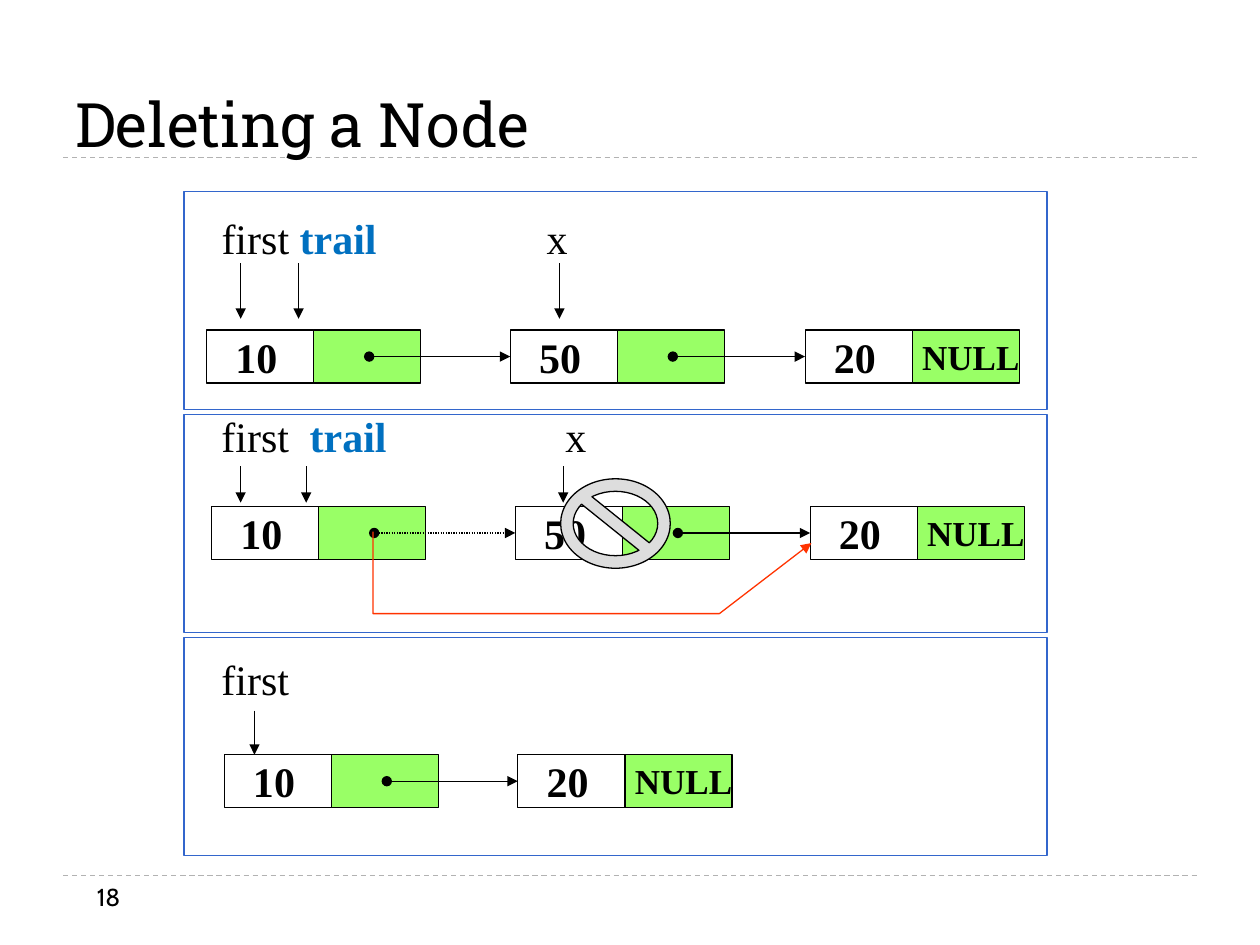
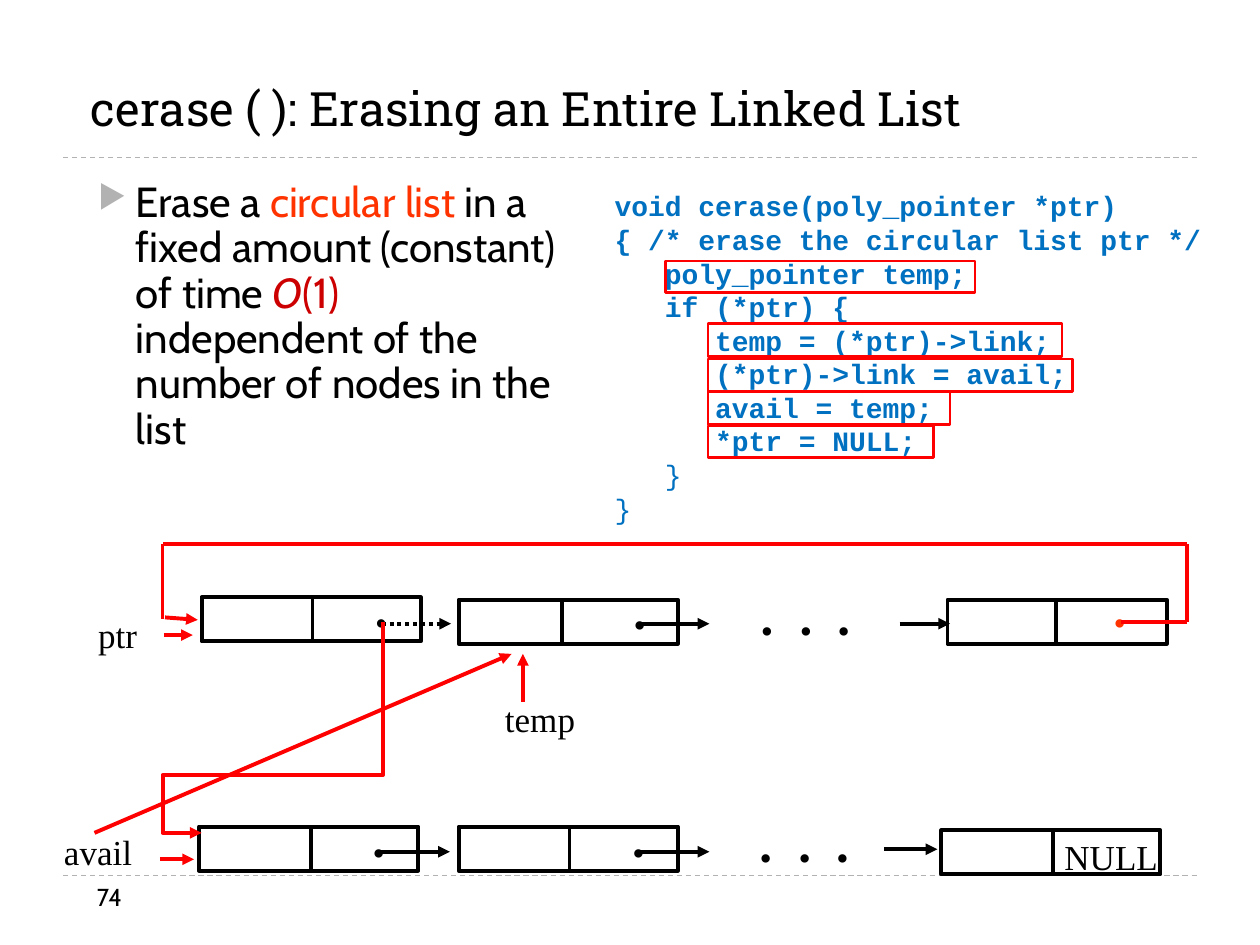
from lxml.etree import SubElement
from pptx import Presentation
from pptx.dml.color import RGBColor
from pptx.enum.dml import MSO_LINE as DASH
from pptx.enum.shapes import MSO_CONNECTOR, MSO_SHAPE as SHAPE
from pptx.enum.text import MSO_ANCHOR as ANCHOR, MSO_AUTO_SIZE as AUTO, PP_ALIGN as ALIGN
from pptx.oxml.ns import qn
from pptx.util import Pt

PX = 9144  # EMU in one px, 100 px to the inch

BLACK = RGBColor(0x00, 0x00, 0x00)
RULE_GREY = RGBColor(0xB2, 0xB2, 0xB2)
PANEL_BLUE = RGBColor(0x33, 0x66, 0xCC)
TEXT_BLUE = RGBColor(0x00, 0x70, 0xC0)
LINK_GREEN = RGBColor(0x99, 0xFF, 0x66)
SIGN_GREY = RGBColor(0xDD, 0xDD, 0xDD)
ORANGE = RGBColor(0xFF, 0x33, 0x00)
RED = RGBColor(0xFF, 0x00, 0x00)
DARK_RED = RGBColor(0xCC, 0x00, 0x00)

HEADING, BODY, CODE, SERIF = "Roboto Slab", "Cabin", "Courier New", "Times New Roman"


def draw(slide, geometry, kind=None, colour=BLACK, weight=0.75, fill=None,
         dash=None, head=None, tail=None):
    """Draw a preset shape in (left, top, width, height), or a line through points."""
    if kind is not None:
        shape = slide.shapes.add_shape(kind, *(v * PX for v in geometry))
    elif len(geometry) == 2:
        ends = [v * PX for point in geometry for v in point]
        shape = slide.shapes.add_connector(MSO_CONNECTOR.STRAIGHT, *ends)
    else:
        outline = slide.shapes.build_freeform(*geometry[0], scale=PX)
        outline.add_line_segments(geometry[1:], close=False)
        shape = outline.convert_to_shape()
    if fill is not None:
        shape.fill.solid()
        shape.fill.fore_color.rgb = fill
    elif kind is not None or len(geometry) > 2:
        shape.fill.background()
    shape.line.color.rgb = colour
    shape.line.width = Pt(weight)
    if dash is not None:
        shape.line.dash_style = dash
    properties = shape.element.spPr
    for tag, end in (("a:headEnd", head), ("a:tailEnd", tail)):
        if end:
            SubElement(properties.find(qn("a:ln")), qn(tag), type=end)
    SubElement(properties, qn("a:effectLst"))
    return shape


def write(slide, box, content, size, font=SERIF, colour=BLACK, bold=False,
          wrap=False, align=ALIGN.LEFT, anchor=ANCHOR.TOP, stops=()):
    """Write a string, or paragraphs made of (text, colour, bold) runs."""
    frame = slide.shapes.add_textbox(*(v * PX for v in box)).text_frame
    frame.word_wrap = wrap
    frame.auto_size = AUTO.NONE if wrap else AUTO.SHAPE_TO_FIT_TEXT
    frame.vertical_anchor = anchor
    if isinstance(content, str):
        content = [[(line, colour, bold)] for line in content.split("\n")]
    for index, runs in enumerate(content):
        paragraph = frame.add_paragraph() if index else frame.paragraphs[0]
        paragraph.alignment = align
        if stops:
            tabs = SubElement(paragraph._p.get_or_add_pPr(), qn("a:tabLst"))
            for stop in stops:
                SubElement(tabs, qn("a:tab"), pos=str(stop * PX), algn="l")
        for text, run_colour, run_bold in runs:
            run = paragraph.add_run()
            run.text = text
            run.font.name, run.font.size = font, Pt(size)
            run.font.bold = run_bold
            run.font.color.rgb = run_colour
    return frame


deck = Presentation()
deck.slide_width, deck.slide_height = 1000 * PX, 750 * PX

# Title, rules and page number of both slides
pages = [
    ("Deleting a Node", (50, 45, 900, 87), 35, "18"),
    ("cerase ( ): Erasing an Entire Linked List", (62, 21, 803, 92), 27, "74"),
]
for title, title_box, title_size, number in pages:
    slide = deck.slides.add_slide(deck.slide_layouts[6])
    for y in (695, 125):
        draw(slide, [(50, y), (950, y)], colour=RULE_GREY, dash=DASH.DASH)
    write(slide, title_box, title, title_size, HEADING, wrap=True, anchor=ANCHOR.BOTTOM)
    write(slide, (67, 695, 217, 40), number, 14, BODY, wrap=True)
deleting, erasing = deck.slides

# Slide 1: three stages of the deletion
# panel top, names (box, runs, tab stops), pointer xs and ys, node top, nodes, first link dash
trail = ("trail", TEXT_BLUE, True)
x_name = ("\tx", BLACK, False)
stages = [
    (152, (166, 164, 295, 50), [("first ", BLACK, False), trail, x_name], (258,),
     (191, 237, 444), (209, 253), 262, [(164, "10"), (405, "50"), (639, "20")], None),
    (329, (166, 321, 310, 51), [("first\t", BLACK, False), trail, x_name], (70, 273),
     (191, 243, 447), (370, 399), 402, [(168, "10"), (409, "50"), (643, "20")],
     DASH.ROUND_DOT),
    (506, (166, 514, 74, 50), [("first", BLACK, False)], (),
     (202,), (564, 599), 599, [(178, "10"), (411, "20")], None),
]
CELL_W, CELL_H = 85, 42
for (panel_top, names_box, names, stops, pointer_xs, (tail_y, tip_y),
     node_top, nodes, first_dash) in stages:
    draw(deleting, (146, panel_top, 685, 173), SHAPE.RECTANGLE, PANEL_BLUE)
    write(deleting, names_box, [names], 24, stops=stops)
    for x in pointer_xs:
        draw(deleting, [(x, tail_y), (x, tip_y)], tail="triangle")

    data_cells = []
    for left, value in nodes:
        data_cells.append(draw(deleting, (left, node_top, CELL_W, CELL_H), SHAPE.RECTANGLE))
        draw(deleting, (left + CELL_W, node_top, CELL_W, CELL_H), SHAPE.RECTANGLE,
             fill=LINK_GREEN)
        write(deleting, (left + 13, node_top - 4, 53, 50), value, 24, bold=True,
              align=ALIGN.CENTER)
    write(deleting, (nodes[-1][0] + 83, node_top - 1, 97, 43), "NULL", 20, bold=True,
          align=ALIGN.CENTER)

    link_y = node_top + CELL_H // 2
    for index, next_cell in enumerate(data_cells[1:]):
        link = draw(deleting, [(nodes[index][0] + 129, link_y), (nodes[index + 1][0], link_y)],
                    dash=None if index else first_dash, head="oval", tail="triangle")
        link.end_connect(next_cell, 1)

draw(deleting, [(296, 422), (296, 487), (571, 487), (644, 431)], colour=ORANGE,
     tail="triangle")
deleted_sign = draw(deleting, (445, 380, 87, 71), SHAPE.NO_SYMBOL, fill=SIGN_GREY)
deleted_sign.adjustments[0] = 0.14

# Slide 2: explanation and code
claim = [[
    ("Erase a ", BLACK, False),
    ("circular list", ORANGE, False),
    (" in a fixed amount (constant) of time ", BLACK, False),
    ("O", DARK_RED, False),
    ("(1)", DARK_RED, False),
    (" independent of the number of nodes in the list", BLACK, False),
]]
claim_line = write(erasing, (38, 139, 429, 244), claim, 24, BODY, wrap=True).paragraphs[0]
claim_line.runs[3].font.italic = True
bullet = claim_line._p.get_or_add_pPr()
bullet.set("marL", str(60 * PX))
bullet.set("indent", str(-30 * PX))
SubElement(SubElement(bullet, qn("a:buClr")), qn("a:srgbClr"), val=str(RULE_GREY))
SubElement(bullet, qn("a:buSzPct"), val="76000")
SubElement(bullet, qn("a:buChar"), char="▶")
claim_line.line_spacing = 0.9

cerase_code = """void cerase(poly_pointer *ptr)
{ /* erase the circular list ptr */
   poly_pointer temp;
   if (*ptr) {
      temp = (*ptr)->link;
      (*ptr)->link = avail;
      avail = temp;
      *ptr = NULL;
   }
}"""
code_lines = write(erasing, (478, 145, 491, 279), cerase_code, 16, CODE, TEXT_BLUE, True)
for closing_brace in code_lines.paragraphs[-2:]:
    closing_brace.runs[0].font.bold = False

key_statements = [(528, 207, 246, 25), (562, 257, 281, 26), (562, 285, 289, 26),
                  (562, 311, 192, 26), (562, 338, 179, 25)]
for statement_box in key_statements:
    draw(erasing, statement_box, SHAPE.RECTANGLE, RED, 1.5)

# Slide 2: the circular list above, the list of free nodes below
NODE_W, NODE_H = 174, 35
for left, top, divider in [(160, 474, 248), (364, 476, 446), (752, 476, 838),
                           (158, 656, 247), (364, 656, 452), (747, 659, 836)]:
    draw(erasing, (left, top, NODE_W, NODE_H), SHAPE.RECTANGLE, weight=2.25)
    draw(erasing, [(divider, top), (divider, top + NODE_H)], weight=2.25)

for left, top, colour in [(288, 472, BLACK), (493, 473, BLACK), (874, 472, ORANGE),
                          (286, 654, BLACK), (492, 654, BLACK)]:
    write(erasing, (left, top, 33, 43), "•", 20, colour=colour)
for left, top in [(594, 478), (593, 658)]:
    write(erasing, (left, top, 100, 43), "•\t•\t•", 20, stops=(31, 61))

for box, name in [((68, 482, 51, 43), "ptr"), ((391, 549, 76, 43), "temp"),
                  ((41, 654, 74, 43), "avail"), ((835, 658, 94, 43), "NULL")]:
    write(erasing, box, name, 20)

draw(erasing, [(303, 495), (358, 495)], weight=2.25, dash=DASH.ROUND_DOT, tail="triangle")
for start, end, y in [(508, 563, 495), (714, 754, 495),
                      (302, 357, 676), (508, 563, 676), (702, 744, 674)]:
    draw(erasing, [(start, y), (end, y)], weight=2.25, tail="triangle")

way_back = [(890, 494), (942, 494), (942, 432), (129, 432), (129, 491)]
for start, end in zip(way_back, way_back[1:]):
    draw(erasing, [start, end], colour=RED, weight=2.25)

red_arrows = [
    [(131, 490), (157, 492)],
    [(130, 504), (153, 504)],
    [(415, 557), (415, 519)],
    [(127, 682), (154, 682)],
    [(75, 661), (406, 519)],
    [(304, 494), (304, 615), (129, 615), (129, 661), (160, 661)],
]
for route in red_arrows:
    draw(erasing, route, colour=RED, weight=2.25, tail="triangle")

deck.save("out.pptx")
